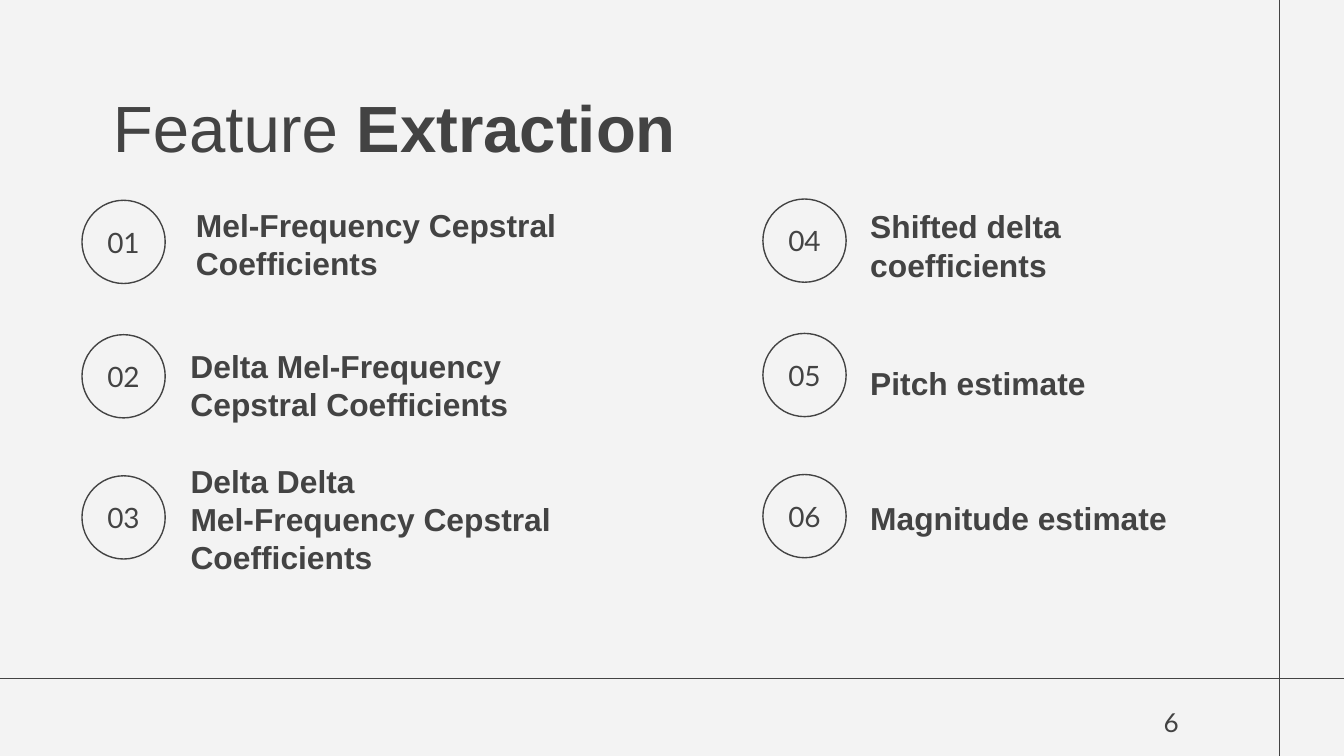
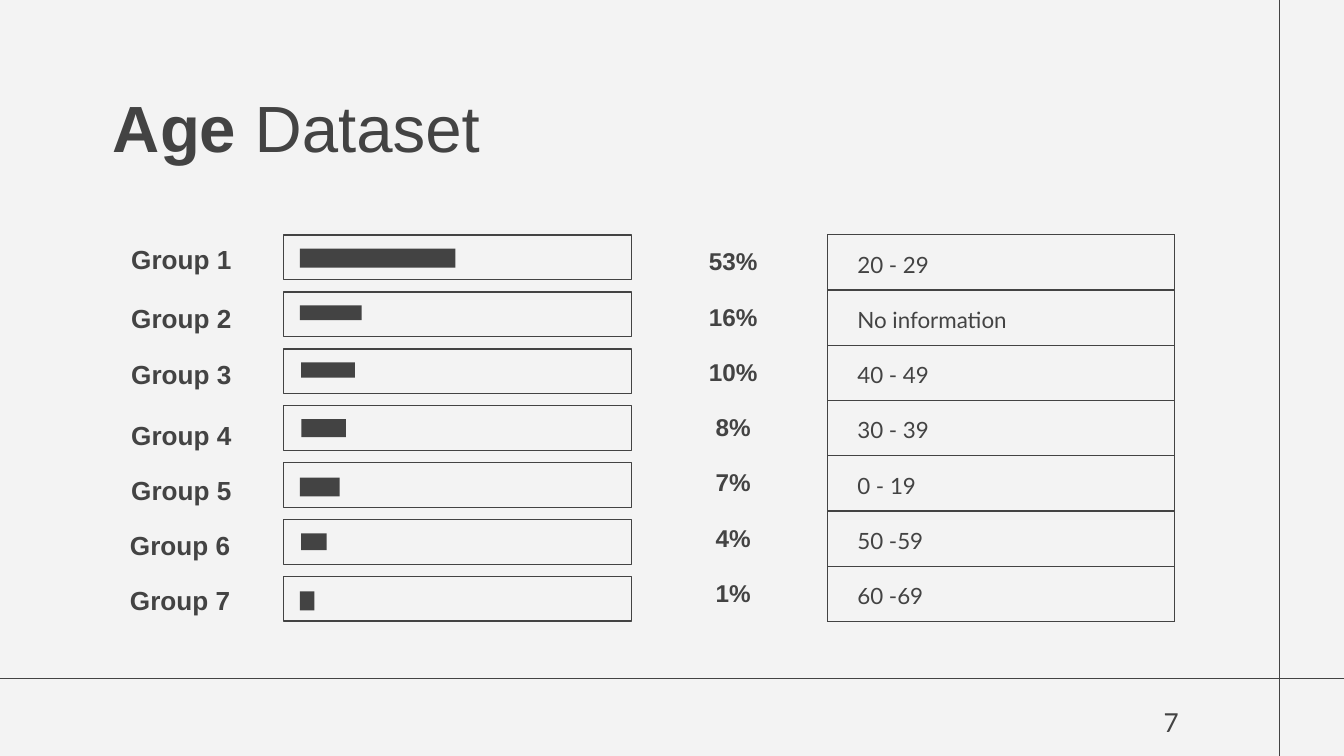
from lxml.etree import SubElement
from pptx import Presentation
from pptx.dml.color import RGBColor
from pptx.enum.shapes import MSO_CONNECTOR, MSO_SHAPE
from pptx.enum.text import MSO_ANCHOR, MSO_AUTO_SIZE, PP_ALIGN
from pptx.oxml.ns import qn
from pptx.util import Pt

INK = RGBColor(0x43, 0x43, 0x43)
PAPER = RGBColor(0xF3, 0xF3, 0xF3)
HEAD_FONT = "Arial"
BODY_FONT = "Lato"
LINE_WIDTH = 0.75
INSET = 7.2
WIDTH, HEIGHT = 720, 405

# number, label, label box as left, top, width, height, space below the text
LEFT_FEATURES = [
    ("01", "Mel-Frequency Cepstral Coefficients", (54, 8.6, 211.7, 29.5), INSET),
    ("02", "Delta Mel-Frequency Cepstral Coefficients", (51.1, 76.3, 211.7, 64.1), 26.7),
    ("03", "Delta Delta\nMel-Frequency Cepstral Coefficients", (51.1, 151.9, 241.2, 56.9), 26.7),
]
RIGHT_FEATURES = [
    ("04", "Shifted delta coefficients", (50.4, 5, 190.8, 39.6), INSET),
    ("05", "Pitch estimate", (50.4, 75.6, 179.3, 46.1), INSET),
    ("06", "Magnitude estimate", (50.4, 159.8, 196.6, 21.6), INSET),
]

# label left and top, bar left, top, width, height; all but the label left
# are measured from the frame's corner or the region's top
AGE_BARS = [
    ((0, 0), (8.7, 7.3, 83.3, 10.2)),
    ((0, 31.7), (8.7, 7.2, 33.2, 7.9)),
    ((0, 61.9), (9.5, 7.2, 28.8, 8.2)),
    ((0, 94.3), (9.5, 7.2, 23.9, 9.6)),
    ((0, 123.8), (8.7, 8, 21.4, 10)),
    ((-0.7, 153.4), (9.5, 7.3, 13.6, 9.1)),
    ((-0.7, 182.9), (8.7, 8, 7.8, 10.2)),
]
AGE_SHARES = [
    ("53%", "20 - 29"), ("16%", "No information"), ("10%", "40 - 49"),
    ("8%", "30 - 39"), ("7%", "0 - 19"), ("4%", "50 -59"), ("1%", "60 -69"),
]


def points(*values):
    return [Pt(v) for v in values]


def style(font, size, name, bold=False):
    font.size, font.name, font.bold = Pt(size), name, bold
    font.color.rgb = INK


def write(shape, text, size, name, bold=False, align=PP_ALIGN.LEFT,
          anchor=MSO_ANCHOR.MIDDLE, insets=(INSET,) * 4):
    """Fill a shape's text frame; insets run left, top, right, bottom."""
    tf = shape.text_frame
    tf.word_wrap = True
    tf.vertical_anchor = anchor
    tf.margin_left, tf.margin_top, tf.margin_right, tf.margin_bottom = points(*insets)
    tf.text = text
    for p in tf.paragraphs:
        p.alignment = align
        style(p.font, size, name, bold)


def add_outline(shapes, kind, box):
    sp = shapes.add_shape(kind, *points(*box))
    sp.shadow.inherit = False
    sp.fill.background()
    sp.line.color.rgb = INK
    sp.line.width = Pt(LINE_WIDTH)
    return sp


def add_rule(slide, *ends):
    rule = slide.shapes.add_connector(MSO_CONNECTOR.STRAIGHT, *points(*ends))
    rule.line.color.rgb = INK
    rule.line.width = Pt(LINE_WIDTH)
    SubElement(rule._element.spPr, qn("a:effectLst"))


def add_base_slide(prs, title_parts, page):
    """Add a slide with crossing rules, title and page number.

    Each title part is a text with its boldness.
    """
    slide = prs.slides.add_slide(prs.slide_layouts[5])
    add_rule(slide, -2, 363.4, 722, 363.4)
    add_rule(slide, 685.6, 406, 685.6, -1.5)

    title = slide.shapes.title
    title.left, title.top, title.width, title.height = points(53.3, 39.7, 624.2, 38.2)
    write(title, "", 35, HEAD_FONT, anchor=MSO_ANCHOR.TOP)
    title.text_frame.auto_size = MSO_AUTO_SIZE.NONE
    for text, bold in title_parts:
        r = title.text_frame.paragraphs[0].add_run()
        r.text = text
        style(r.font, 35, HEAD_FONT, bold)

    number = slide.shapes.add_textbox(*points(595.4, 371.5, 43.2, 31))
    write(number, str(page), 14, BODY_FONT, align=PP_ALIGN.RIGHT, anchor=MSO_ANCHOR.TOP)
    return slide


def add_feature_column(slide, left, top, features):
    circle_tops = (0, 72, 147.6)
    for circle_top, (number, label, box, below) in zip(circle_tops, features):
        circle = add_outline(slide.shapes, MSO_SHAPE.OVAL,
                             (left, top + circle_top, 44.6, 44.6))
        write(circle, number, 15, BODY_FONT, align=PP_ALIGN.CENTER, insets=(0,) * 4)
        x, y, w, h = box
        tb = slide.shapes.add_textbox(*points(left + x, top + y, w, h))
        write(tb, label, 17, HEAD_FONT, True, insets=(INSET, INSET, INSET, below))


def add_age_bars(slide, left, top):
    """Draw the group labels and, to their right, the framed bars."""
    label_width, pitch = 109.4, 30.5
    for i, ((label_x, label_y), (x, y, w, h)) in enumerate(AGE_BARS):
        frame_x, frame_y = left + label_width, top + 8.5 + i * pitch
        group = slide.shapes.add_group_shape()
        add_outline(group.shapes, MSO_SHAPE.RECTANGLE, (frame_x, frame_y, 186.4, 23.9))
        bar = group.shapes.add_shape(MSO_SHAPE.RECTANGLE,
                                     *points(frame_x + x, frame_y + y, w, h))
        bar.shadow.inherit = False
        bar.fill.solid()
        bar.fill.fore_color.rgb = INK
        bar.line.fill.background()
        tb = slide.shapes.add_textbox(
            *points(left + label_x, top + label_y, label_width, 41.8))
        write(tb, f"Group {i + 1}", 14, HEAD_FONT, True, PP_ALIGN.CENTER,
              MSO_ANCHOR.BOTTOM, (INSET, INSET, INSET, 14.4))


def set_borders(cell, drawn):
    """Draw the named sides (of L, R, T, B) and clear the others."""
    tc_pr = cell._tc.get_or_add_tcPr()
    for side in "LRTB":
        ln = SubElement(tc_pr, qn(f"a:ln{side}"), w=str(Pt(LINE_WIDTH)))
        if side in drawn:
            fill = SubElement(ln, qn("a:solidFill"))
            SubElement(fill, qn("a:srgbClr"), val=str(INK))
        else:
            SubElement(ln, qn("a:noFill"))


def add_age_table(slide, left, top):
    widths, row_height = (101.5, 185.8), 29.6
    frame = slide.shapes.add_table(len(AGE_SHARES), 2, *points(
        left, top, sum(widths), row_height * len(AGE_SHARES)))
    table = frame.table
    table.first_row = table.horz_banding = False
    for column, width in zip(table.columns, widths):
        column.width = Pt(width)
    # size, font, bold, alignment, left margin, line spacing, borders
    looks = [(13, HEAD_FONT, True, PP_ALIGN.CENTER, INSET, 1.0, "R"),
             (12, BODY_FONT, False, PP_ALIGN.LEFT, 15.8, 1.15, "LRTB")]
    for row, texts in zip(table.rows, AGE_SHARES):
        row.height = Pt(row_height)
        for cell, text, look in zip(row.cells, texts, looks):
            size, name, bold, align, margin, spacing, borders = look
            cell.text = text
            cell.vertical_anchor = MSO_ANCHOR.MIDDLE
            cell.margin_left, cell.margin_right = points(margin, INSET)
            cell.margin_top = cell.margin_bottom = Pt(5)
            p = cell.text_frame.paragraphs[0]
            p.alignment, p.line_spacing = align, spacing
            style(p.font, size, name, bold)
            set_borders(cell, borders)
            cell.fill.background()


def add_feature_slide(prs):
    slide = add_base_slide(prs, [("Feature ", False), ("Extraction", True)], 6)
    add_feature_column(slide, 43.9, 107.3, LEFT_FEATURES)
    add_feature_column(slide, 408.7, 106.6, RIGHT_FEATURES)


def add_age_slide(prs):
    slide = add_base_slide(prs, [("Age ", True), ("Dataset", False)], 7)
    add_age_table(slide, 342, 125.8)
    add_age_bars(slide, 42.5, 117.4)


def main():
    prs = Presentation()
    prs.slide_width, prs.slide_height = points(WIDTH, HEIGHT)
    background = prs.slide_master.background.fill
    background.solid()
    background.fore_color.rgb = PAPER
    add_feature_slide(prs)
    add_age_slide(prs)
    prs.save("out.pptx")


if __name__ == "__main__":
    main()
